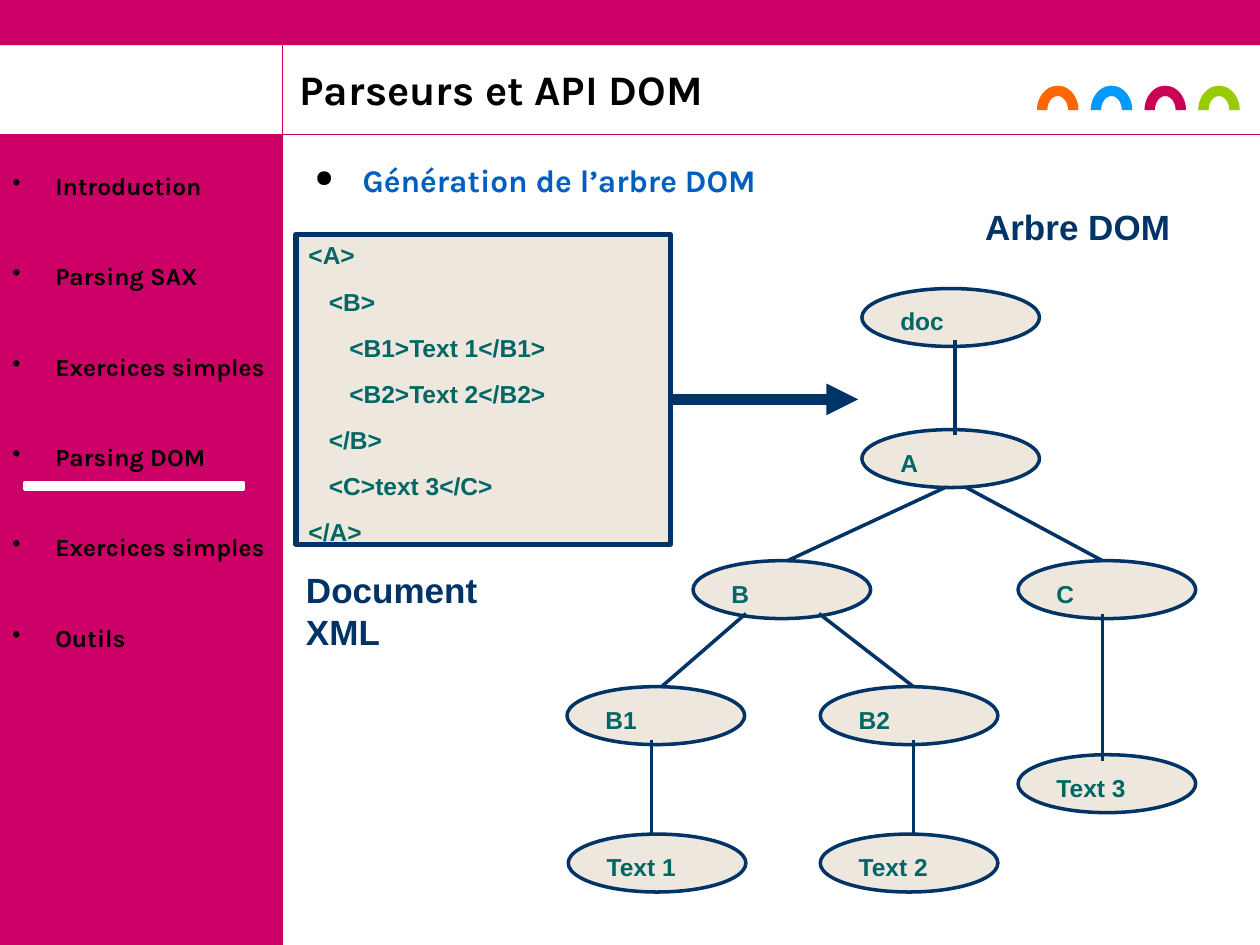
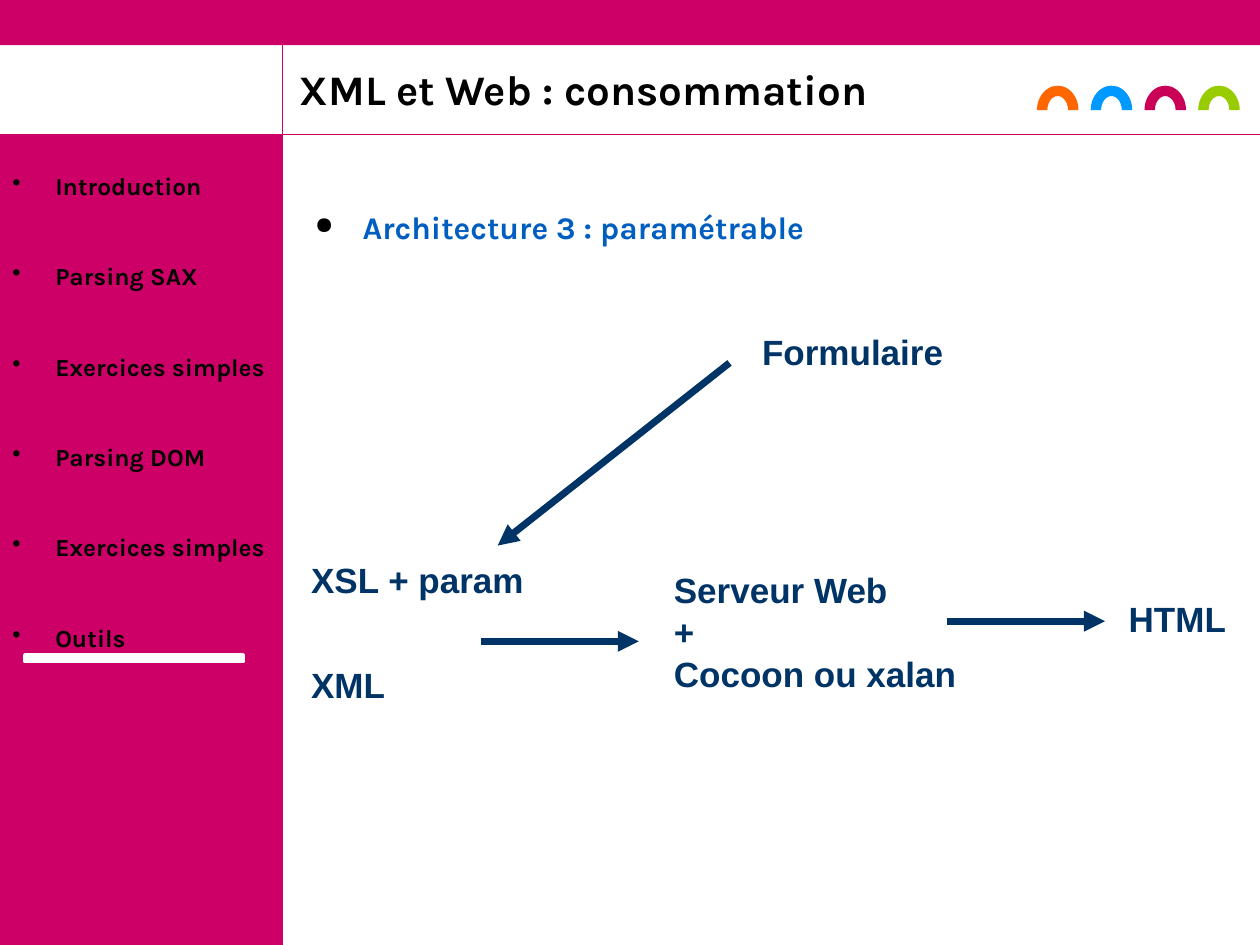
from dataclasses import dataclass

from lxml import etree
from pptx import Presentation
from pptx.dml.color import RGBColor
from pptx.enum.shapes import MSO_CONNECTOR, MSO_SHAPE
from pptx.enum.text import MSO_ANCHOR, PP_ALIGN
from pptx.oxml.ns import qn
from pptx.util import Inches, Pt

STRAIGHT = MSO_CONNECTOR.STRAIGHT
RECTANGLE, OVAL, ARCH = MSO_SHAPE.RECTANGLE, MSO_SHAPE.OVAL, MSO_SHAPE.BLOCK_ARC
TOP, MIDDLE, BOTTOM = MSO_ANCHOR.TOP, MSO_ANCHOR.MIDDLE, MSO_ANCHOR.BOTTOM
LEFT = PP_ALIGN.LEFT

COLUMNS, ROWS = 10, 7.5
SLIDE_WIDTH, SLIDE_HEIGHT = Inches(10), Inches(7.5)
COLUMN, ROW = SLIDE_WIDTH / COLUMNS, SLIDE_HEIGHT / ROWS


@dataclass(frozen=True)
class Theme:
    """Colours, fonts and type sizes of the deck."""
    band: str = "CC0066"
    white: str = "FFFFFF"
    black: str = "000000"
    heading: str = "005EC0"
    navy: str = "003366"
    teal: str = "006666"
    sand: str = "EEE7DE"
    arches: tuple = ("FF6600", "0099FF", "CA0057", "99CC00")
    display: str = "Karla"
    body: str = "Arial"
    title_size: int = 24
    label_size: int = 20
    heading_size: int = 18
    small_size: int = 14


@dataclass(frozen=True)
class Box:
    """Region of the slide grid, in columns and rows."""
    x: float
    y: float
    w: float
    h: float

    def inner(self, x, y, w, h):
        """Return a box placed relative to this one."""
        return Box(self.x + x, self.y + y, w, h)

    def emu(self):
        """Return left, top, width and height in slide units."""
        return (round(self.x * COLUMN), round(self.y * ROW),
                round(self.w * COLUMN), round(self.h * ROW))


THEME = Theme()
PAGE = Box(0, 0, COLUMNS, ROWS)
SIDEBAR = PAGE.inner(0, 1.07, 2.24, 6.43)
ARCH_ROW = PAGE.inner(8.23, 0.68, 1.61, 0.39)
MENU = ("Introduction", "Parsing SAX", "Exercices simples",
        "Parsing DOM", "Exercices simples", "Outils")
XML_LINES = (
    "<A>",
    "   <B>",
    "      <B1>Text 1</B1>",
    "      <B2>Text 2</B2>",
    "   </B>",
    "   <C>text 3</C>",
    "</A>",
)
NODE_SIZE = (1.41, 0.46)
TREE_NODES = (
    ("doc", 2.34, 0), ("A", 2.34, 1.12), ("B", 1, 2.16), ("B1", 0, 3.16),
    ("B2", 2.01, 3.16), ("C", 3.58, 2.16), ("Text 3", 3.58, 3.7),
    ("Text 2", 2.01, 4.33), ("Text 1", 0.01, 4.33),
)
TREE_BRANCHES = (
    ((3.08, 0.41), (3.08, 1.16)), ((3, 1.58), (1.75, 2.16)),
    ((3.17, 1.58), (4.25, 2.16)), ((1.42, 2.58), (0.75, 3.16)),
    ((2, 2.58), (2.75, 3.16)), ((0.67, 3.58), (0.67, 4.33)),
    ((2.75, 3.58), (2.75, 4.33)), ((4.25, 2.58), (4.25, 3.75)),
)
WEB_LABELS = (
    (("XML",), (0, 2.65, 0.79, 0.44)),
    (("XSL + param",), (0, 1.81, 1.89, 0.44)),
    (("Serveur Web", "+", "Cocoon ou xalan"), (2.88, 1.89, 2.44, 1.1)),
    (("HTML",), (6.49, 2.12, 0.97, 0.44)),
    (("Formulaire",), (3.58, 0, 1.64, 0.44)),
)
WEB_ARROWS = (
    ((1.45, 2.52), (2.7, 2.52)),
    ((5.15, 2.36), (6.4, 2.36)),
    ((3.42, 0.31), (1.58, 1.76)),
)


def rgb(color):
    """Turn a hex string into a colour."""
    return RGBColor.from_string(color)


def draw_shape(slide, box, kind, fill, line=None, width=0):
    """Draw a flat preset shape."""
    shape = slide.shapes.add_shape(kind, *box.emu())
    shape.shadow.inherit = False
    shape.fill.solid()
    shape.fill.fore_color.rgb = rgb(fill)
    if line:
        shape.line.color.rgb = rgb(line)
        shape.line.width = Pt(width)
    else:
        shape.line.fill.background()
    return shape


def draw_line(slide, box, start, end, color, width, arrow=False):
    """Draw a line between two points of a box."""
    points = [round(value) for x, y in (start, end)
              for value in ((box.x + x) * COLUMN, (box.y + y) * ROW)]
    line = slide.shapes.add_connector(STRAIGHT, *points)
    line.line.color.rgb = rgb(color)
    line.line.width = Pt(width)
    properties = line._element.spPr
    if arrow:
        etree.SubElement(properties.find(qn("a:ln")), qn("a:tailEnd"), type="triangle")
    etree.SubElement(properties, qn("a:effectLst"))


def add_bullet(paragraph, char, hang, percent):
    """Give a paragraph a black hanging bullet."""
    properties = paragraph._p.get_or_add_pPr()
    properties.set("marL", str(Inches(hang)))
    properties.set("indent", str(-Inches(hang)))
    color = etree.SubElement(properties, qn("a:buClr"))
    etree.SubElement(color, qn("a:srgbClr"), val=THEME.black)
    etree.SubElement(properties, qn("a:buSzPct"), val=str(percent * 1000))
    etree.SubElement(properties, qn("a:buChar"), char=char)


def write(shape, lines, font, size, color, anchor=TOP, wrap=True,
          gap=0, spacing=None, bullet=None):
    """Fill a shape with bold left-aligned paragraphs."""
    frame = shape.text_frame
    frame.word_wrap = wrap
    frame.vertical_anchor = anchor
    for index, line in enumerate(lines):
        paragraph = frame.add_paragraph() if index else frame.paragraphs[0]
        paragraph.text = line
        if bullet:
            add_bullet(paragraph, *bullet)
        paragraph.alignment = LEFT
        if index and gap:
            paragraph.space_before = Pt(gap)
        if spacing:
            paragraph.line_spacing = spacing
        paragraph.font.name = font
        paragraph.font.size = Pt(size)
        paragraph.font.bold = True
        paragraph.font.color.rgb = rgb(color)


def draw_text(slide, box, *args, **options):
    """Add a text box and fill it."""
    write(slide.shapes.add_textbox(*box.emu()), *args, **options)


def draw_label(slide, box, *lines):
    """Add a large navy diagram label."""
    draw_text(slide, box, lines, THEME.body, THEME.label_size, THEME.navy, wrap=False)


def draw_arches(slide, box):
    """Draw the row of coloured arches."""
    width = 0.33
    step = (box.w - width) / (len(THEME.arches) - 1)
    for index, color in enumerate(THEME.arches):
        draw_shape(slide, box.inner(index * step, 0, width, box.h), ARCH, color)


def draw_sidebar(slide, box, marker_top):
    """Draw the menu column and the bar under the current entry."""
    draw_text(slide, box.inner(0, 0.24, 2.32, 4.04), MENU, THEME.display,
              THEME.small_size, THEME.black, gap=34.8, bullet=("•", 0.34, 100))
    draw_shape(slide, box.inner(0.2, marker_top, 1.73, 0.05), RECTANGLE,
               THEME.white, THEME.white, 2)


def draw_frame(slide, page, title, heading, heading_top, marker_top):
    """Draw the bands, rules, menu, title and heading of a slide."""
    draw_shape(slide, SIDEBAR, RECTANGLE, THEME.band)
    draw_shape(slide, page.inner(0, 0, page.w, 0.36), RECTANGLE, THEME.band)
    draw_line(slide, page, (0, SIDEBAR.y), (page.w, SIDEBAR.y), THEME.band, 0.75)
    draw_line(slide, page, (SIDEBAR.w, page.h), (SIDEBAR.w, 0), THEME.band, 0.75)
    draw_arches(slide, ARCH_ROW)
    draw_sidebar(slide, SIDEBAR, marker_top)
    draw_text(slide, page.inner(2.28, 0.48, 7.33, 0.48), (title,), THEME.display,
              THEME.title_size, THEME.black, anchor=BOTTOM, spacing=0.9)
    draw_text(slide, page.inner(2.4, heading_top, 7.4, 0.5), (heading,), THEME.display,
              THEME.heading_size, THEME.heading, bullet=("●", 0.38, 75))


def draw_document(slide, box):
    """Draw the XML listing and its caption."""
    listing = draw_shape(slide, box.inner(0.02, 0, 2.97, 2.46), RECTANGLE,
                         THEME.sand, THEME.navy, 3)
    write(listing, XML_LINES, THEME.body, THEME.small_size, THEME.teal, gap=9.5)
    draw_label(slide, box.inner(0, 2.6, 2.22, 0.43), "Document XML")


def draw_tree(slide, box):
    """Draw the DOM tree, its caption and the arrow leading to it."""
    for name, x, y in TREE_NODES:
        node = draw_shape(slide, box.inner(x, y, *NODE_SIZE), OVAL,
                          THEME.sand, THEME.navy, 2)
        write(node, (name,), THEME.body, THEME.small_size, THEME.teal,
              anchor=MIDDLE, wrap=False, spacing=1.25)
    for start, end in TREE_BRANCHES:
        draw_line(slide, box, start, end, THEME.navy, 2)
    draw_line(slide, box, (0.81, 0.88), (2.31, 0.88), THEME.navy, 6, arrow=True)
    draw_label(slide, box.inner(3.22, -0.71, 1.67, 0.43), "Arbre DOM")


def draw_web_flow(slide, box):
    """Draw the publishing chain from form and sources to HTML."""
    for lines, place in WEB_LABELS:
        draw_label(slide, box.inner(*place), *lines)
    for start, end in WEB_ARROWS:
        draw_line(slide, box, start, end, THEME.navy, 4, arrow=True)


def build_dom_slide(slide, page):
    """Build the slide that turns an XML document into a DOM tree."""
    draw_frame(slide, page, "Parseurs et API DOM", "Génération de l’arbre DOM", 1.23, 2.76)
    draw_document(slide, page.inner(2.33, 1.86, 2.99, 3.03))
    draw_tree(slide, page.inner(4.5, 2.29, 4.99, 4.79))


def build_web_slide(slide, page):
    """Build the slide on the configurable web architecture."""
    draw_frame(slide, page, "XML et Web : consommation",
               "Architecture 3 : paramétrable", 1.6, 4.13)
    draw_web_flow(slide, page.inner(2.37, 2.57, 7.46, 3.09))


def main():
    """Build and save the deck."""
    deck = Presentation()
    deck.slide_width, deck.slide_height = SLIDE_WIDTH, SLIDE_HEIGHT
    blank = deck.slide_layouts[6]
    for build in (build_dom_slide, build_web_slide):
        build(deck.slides.add_slide(blank), PAGE)
    deck.save("out.pptx")


if __name__ == "__main__":
    main()
